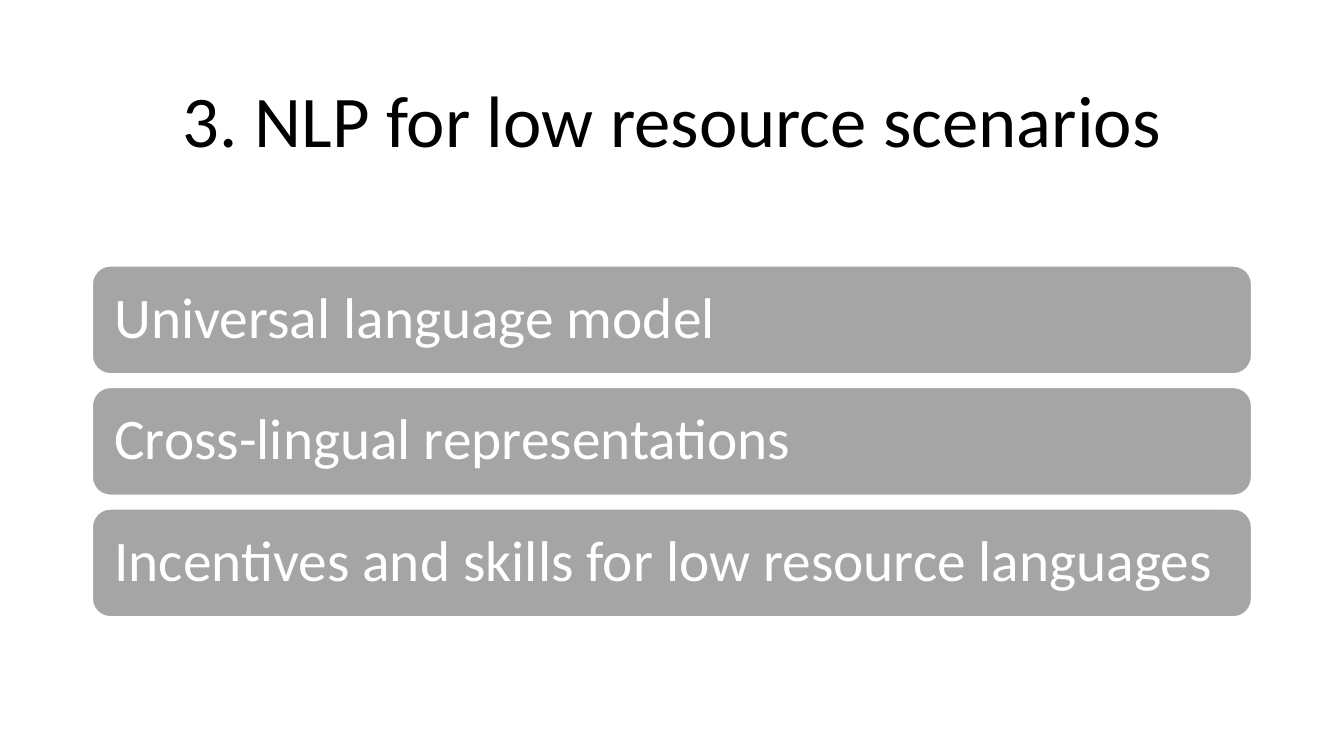
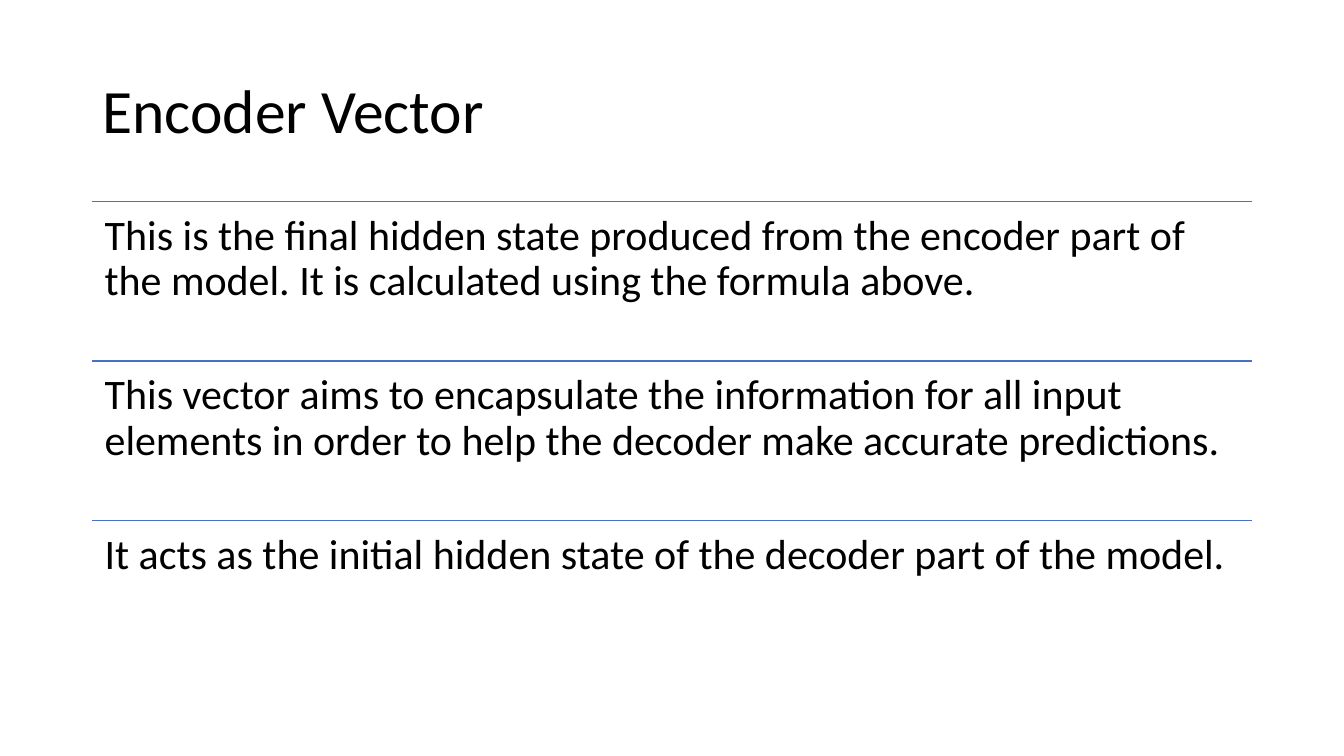
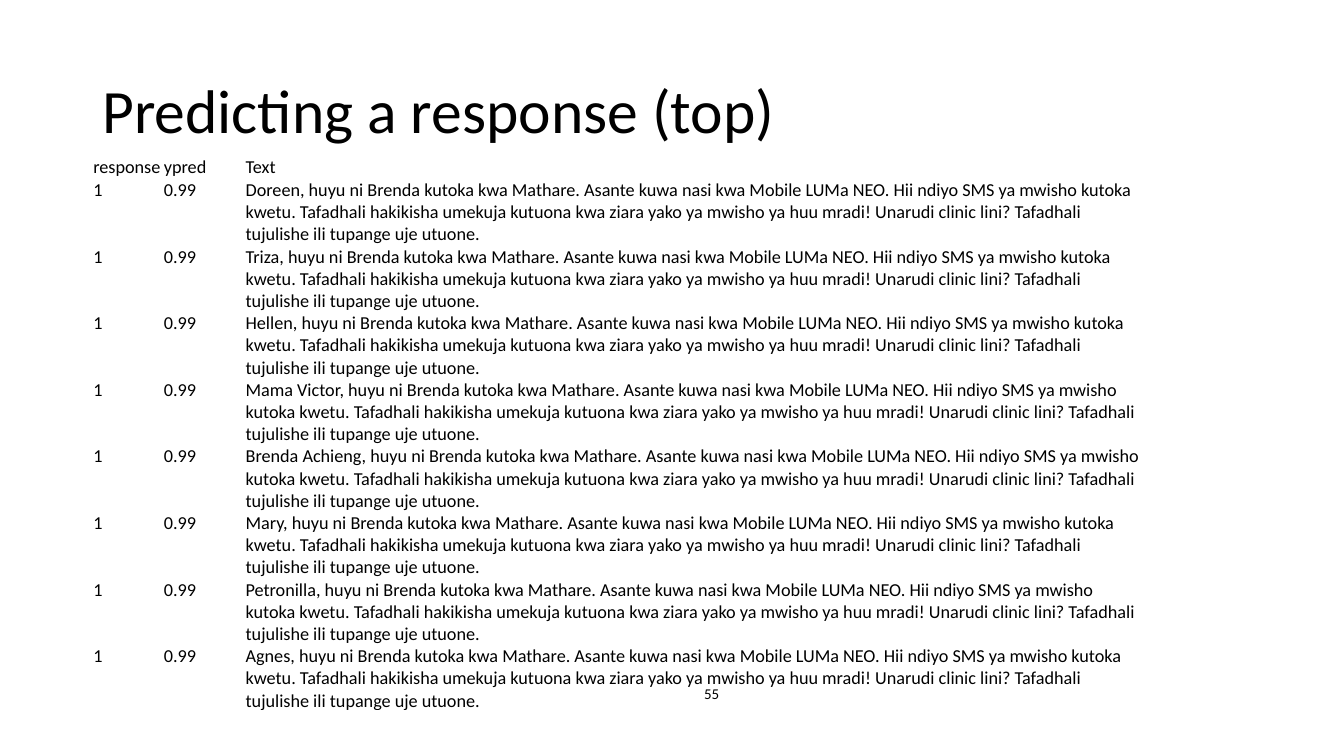
"""Build three slides on low resource NLP: topics, encoder vector, predictions."""
import pptx
import pptx.dml.color
import pptx.enum.shapes
import pptx.enum.text
import pptx.oxml.ns
import lxml.etree

Pt = pptx.util.Pt
RGBColor = pptx.dml.color.RGBColor
Shape = pptx.enum.shapes.MSO_SHAPE
Align = pptx.enum.text.PP_ALIGN
Anchor = pptx.enum.text.MSO_ANCHOR

BLACK = RGBColor(0x00, 0x00, 0x00)
WHITE = RGBColor(0xFF, 0xFF, 0xFF)
GRAY = RGBColor(0xA5, 0xA5, 0xA5)
BLUE = RGBColor(0x44, 0x72, 0xC4)

FONT = "Calibri"
LEFT = 66
WIDTH = 828
TITLE_BOTTOM = 133.2

TOPICS = [
    "Universal language model",
    "Cross-lingual representations",
    "Incentives and skills for low resource languages",
]
ENCODER_POINTS = [
    "This is the final hidden state produced from the encoder part of the model. "
    "It is calculated using the formula above.",
    "This vector aims to encapsulate the information for all input elements "
    "in order to help the decoder make accurate predictions.",
    "It acts as the initial hidden state of the decoder part of the model.",
]
HEADERS = ["response", "ypred", "Text"]
NAMES = ["Doreen", "Triza", "Hellen", "Mama Victor", "Brenda Achieng",
         "Mary", "Petronilla", "Agnes"]
MESSAGE = (
    ", huyu ni Brenda kutoka kwa Mathare. Asante kuwa nasi kwa Mobile LUMa NEO. "
    "Hii ndiyo SMS ya mwisho kutoka kwetu. Tafadhali hakikisha umekuja kutuona "
    "kwa ziara yako ya mwisho ya huu mradi! Unarudi clinic lini? "
    "Tafadhali tujulishe ili tupange uje utuone."
)


def write(tf, text, size, color=BLACK, align=Align.LEFT, spacing=None):
    """Write one formatted run into the first paragraph of a text frame."""
    p = tf.paragraphs[0]
    p.alignment = align
    if spacing:
        p.line_spacing = spacing
    r = p.add_run()
    r.text = text
    r.font.name = FONT
    r.font.size = Pt(size)
    r.font.color.rgb = color


def set_margins(tf, size):
    """Give a text frame the same margin on all four sides."""
    tf.margin_left = tf.margin_right = tf.margin_top = tf.margin_bottom = Pt(size)


def add_titled_slide(prs, title, top=28.8, size=44, align=Align.LEFT):
    """Add a title-only slide with its title placed and formatted."""
    slide = prs.slides.add_slide(prs.slide_layouts[5])
    sp = slide.shapes.title
    sp.left, sp.top = Pt(LEFT), Pt(top)
    sp.width, sp.height = Pt(WIDTH), Pt(TITLE_BOTTOM - top)
    tf = sp.text_frame
    tf.auto_size = pptx.enum.text.MSO_AUTO_SIZE.NONE
    tf.vertical_anchor = Anchor.MIDDLE
    write(tf, title, size, align=align, spacing=0.9)
    return slide


def add_bar(slide, text, top, height):
    """Add a rounded gray bar with white text."""
    sp = slide.shapes.add_shape(
        Shape.ROUNDED_RECTANGLE, Pt(LEFT), Pt(top), Pt(WIDTH), Pt(height))
    sp.shadow.inherit = False
    sp.fill.solid()
    sp.fill.fore_color.rgb = GRAY
    sp.line.color.rgb = WHITE
    sp.line.width = Pt(1)
    tf = sp.text_frame
    tf.word_wrap = True
    tf.vertical_anchor = Anchor.MIDDLE
    set_margins(tf, 12)
    write(tf, text, 41, WHITE, spacing=0.9)


def add_rule(slide, top):
    """Add a thin blue line across the content width."""
    line = slide.shapes.add_connector(
        pptx.enum.shapes.MSO_CONNECTOR.STRAIGHT,
        Pt(LEFT), Pt(top), Pt(LEFT + WIDTH), Pt(top))
    line.line.color.rgb = BLUE
    line.line.width = Pt(1)
    lxml.etree.SubElement(
        line._element.spPr, pptx.oxml.ns.qn("a:effectLst"))


def add_ruled_text(slide, text, top, height):
    """Add a text block under a thin line."""
    add_rule(slide, top)
    sp = slide.shapes.add_textbox(Pt(LEFT), Pt(top), Pt(WIDTH), Pt(height))
    tf = sp.text_frame
    tf.word_wrap = True
    set_margins(tf, 8.8)
    write(tf, text, 30, spacing=0.9)


def add_page_number(slide, text):
    """Add the small centred page number."""
    sp = slide.shapes.add_textbox(Pt(494.6), Pt(485.3), Pt(27.4), Pt(20))
    tf = sp.text_frame
    tf.word_wrap = False
    tf.vertical_anchor = Anchor.MIDDLE
    write(tf, text, 10.7, align=Align.CENTER)


def add_plain_table(slide, rows, top, col_widths, row_heights):
    """Add a table without fills, its cells set tight."""
    frame = slide.shapes.add_table(
        len(rows), len(col_widths), Pt(LEFT), Pt(top),
        Pt(sum(col_widths)), Pt(sum(row_heights)))
    table = frame.table
    table.first_row = False
    table.horz_banding = False
    for col, width in zip(table.columns, col_widths):
        col.width = Pt(width)
    for row, height, texts in zip(table.rows, row_heights, rows):
        row.height = Pt(height)
        for cell, text in zip(row.cells, texts):
            cell.fill.background()
            cell.margin_left = cell.margin_right = cell.margin_top = Pt(0.7)
            cell.margin_bottom = Pt(0)
            cell.vertical_anchor = Anchor.TOP
            write(cell.text_frame, text, 13)
    for cell in list(table.rows[0].cells)[:2]:
        cell.vertical_anchor = Anchor.BOTTOM


def main():
    """Build the slides and save the file."""
    prs = pptx.Presentation()
    prs.slide_width, prs.slide_height = Pt(960), Pt(540)

    slide = add_titled_slide(prs, "3. NLP for low resource scenarios",
                             top=44, size=52, align=Align.CENTER)
    for i, topic in enumerate(TOPICS):
        add_bar(slide, topic, 190 + i * 86.8, 77)

    slide = add_titled_slide(prs, "Encoder Vector")
    for i, point in enumerate(ENCODER_POINTS):
        add_ruled_text(slide, point, 144 + i * 114, 114)

    slide = add_titled_slide(prs, "Predicting a response (top)")
    add_page_number(slide, "55")
    rows = [HEADERS] + [["1", "0.99", name + MESSAGE] for name in NAMES]
    add_plain_table(slide, rows, 111, [50.4, 58.4, 643.6],
                    [14.4] + [42.5] * len(NAMES))

    prs.save("out.pptx")


if __name__ == "__main__":
    main()
